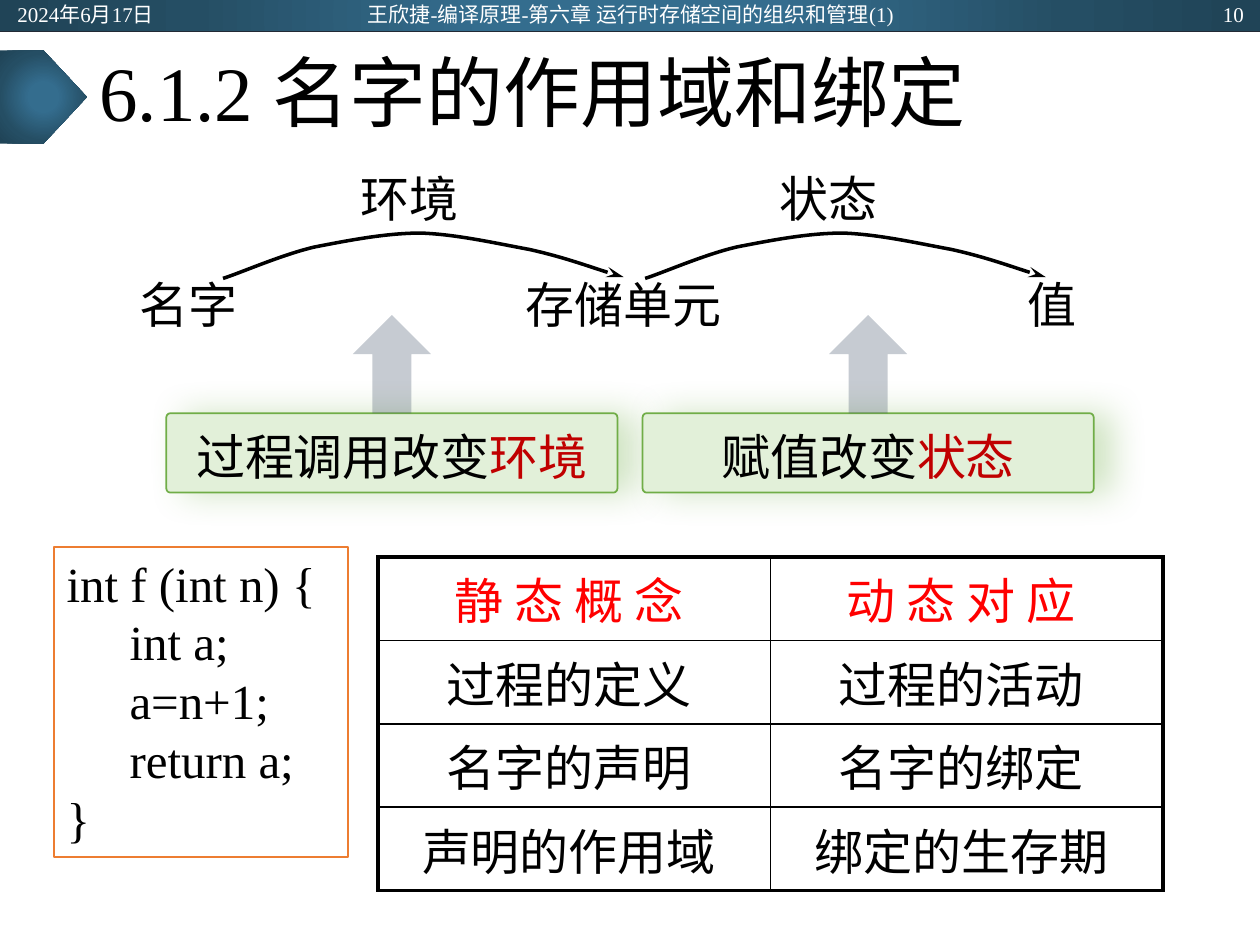
import pptx
import pptx.util
from lxml import etree
from pptx.dml.color import RGBColor
from pptx.enum.shapes import MSO_CONNECTOR, MSO_SHAPE
from pptx.enum.text import MSO_ANCHOR, MSO_AUTO_SIZE, PP_ALIGN
from pptx.oxml import parse_xml
from pptx.oxml.ns import qn

BLACK = RGBColor(0x00, 0x00, 0x00)
WHITE = RGBColor(0xFF, 0xFF, 0xFF)
RED = RGBColor(0xFF, 0x00, 0x00)
DARK_RED = RGBColor(0xC0, 0x00, 0x00)
GREEN = RGBColor(0x70, 0xAD, 0x47)
PALE_GREEN = RGBColor(0xE2, 0xF0, 0xD9)
ORANGE = RGBColor(0xED, 0x7D, 0x31)
SLATE = RGBColor(0x44, 0x54, 0x6A)
NAVY = RGBColor(0x22, 0x2A, 0x35)
BAR_STOPS = [
    (0, RGBColor(0x34, 0x6D, 0x8E)),
    (23, RGBColor(0x34, 0x6D, 0x8E)),
    (69, RGBColor(0x25, 0x4E, 0x64)),
    (97, RGBColor(0x20, 0x44, 0x57)),
]

SERIF = "Times New Roman"
SANS = "Noto Sans CJK SC"
NAMESPACE = 'xmlns:a="http://schemas.openxmlformats.org/drawingml/2006/main"'
COLUMNS, ROWS = 100, 75  # grid of square cells covering the slide
CELL = 0.1


def grid(*cells):
    """Turn counts of grid cells into slide lengths."""
    return [pptx.util.Inches(count * CELL) for count in cells]


def write_text(frame, paragraphs, size=28, font=SERIF, color=BLACK, align=None,
               spacing=None, anchor=MSO_ANCHOR.TOP, tab=None):
    """Fill a frame; a paragraph is a string or a list of (text, colour) spans."""
    frame.word_wrap = True
    frame.vertical_anchor = anchor
    for index, content in enumerate(paragraphs):
        para = frame.paragraphs[0] if index == 0 else frame.add_paragraph()
        if align is not None:
            para.alignment = align
        if spacing:
            para.line_spacing = spacing
        if tab:
            para._p.get_or_add_pPr().append(parse_xml(
                f'<a:tabLst {NAMESPACE}><a:tab pos="{tab}" algn="l"/></a:tabLst>'))
        spans = [(content, color)] if isinstance(content, str) else content
        for text, span_color in spans:
            span = para.add_run()
            span.text = text
            span.font.size = pptx.util.Pt(size)
            span.font.name = font
            span.font.color.rgb = span_color
            east_asian = etree.SubElement(span._r.get_or_add_rPr(), qn("a:ea"))
            east_asian.set("typeface", SANS)


def add_text(page, cells, text, **text_format):
    box = page.shapes.add_textbox(*grid(*cells))
    write_text(box.text_frame, [text], **text_format)


def add_box(page, kind, cells, fill=None, line=None):
    box = page.shapes.add_shape(kind, *grid(*cells))
    box.shadow.inherit = False
    if fill is not None:
        box.fill.solid()
        box.fill.fore_color.rgb = fill
    if line is None:
        box.line.fill.background()
    else:
        box.line.color.rgb = line
        box.line.width = pptx.util.Pt(1)
    return box


def add_glowing_bar(page, kind, cells):
    """Add a shape with the blue radial gradient of the header."""
    bar = add_box(page, kind, cells)
    stops = "".join(
        f'<a:gs pos="{share * 1000}"><a:srgbClr val="{color}"/></a:gs>'
        for share, color in BAR_STOPS)
    gradient = parse_xml(
        f'<a:gradFill {NAMESPACE} rotWithShape="1"><a:gsLst>{stops}</a:gsLst>'
        '<a:path path="circle"><a:fillToRect l="50000" t="50000" r="50000" '
        'b="50000"/></a:path></a:gradFill>')
    bar._element.spPr.find(qn("a:prstGeom")).addnext(gradient)


def add_header(page):
    add_glowing_bar(page, MSO_SHAPE.RECTANGLE, (0, 0, COLUMNS, 2.5))
    rule = page.shapes.add_connector(
        MSO_CONNECTOR.STRAIGHT, *grid(0, 2.5, COLUMNS, 2.5))
    rule.line.color.rgb = NAVY
    rule.line.width = pptx.util.Pt(0.5)
    etree.SubElement(rule._element.spPr, qn("a:effectLst"))
    add_glowing_bar(page, MSO_SHAPE.PENTAGON, (0, 4, 6.9, 7.4))
    add_text(page, (6.9, 2.5, 86.2, 10.4), "6.1.2 名字的作用域和绑定",
             size=44, spacing=0.9, anchor=MSO_ANCHOR.MIDDLE)
    for cells, text, align in [
        ((0.4, 0.1, 22.5, 2), "2024年6月17日", PP_ALIGN.LEFT),
        ((25.1, -0.3, 49.9, 2.8),
         "王欣捷-编译原理-第六章 运行时存储空间的组织和管理(1)", PP_ALIGN.CENTER),
        ((77.2, 0.1, 22.5, 2), "10", PP_ALIGN.RIGHT),
    ]:
        add_text(page, cells, text, size=12, color=WHITE, align=align,
                 anchor=MSO_ANCHOR.MIDDLE)


def add_mapping_arc(page, left):
    """Draw a curved arrow; across is measured from its left end."""
    start = (left, 22.1)
    controls = [(1.3, 21.7), (4.7, 20.2), (7.3, 19.6),
                (9.9, 19.1), (12.9, 18.5), (15.7, 18.5),
                (18.5, 18.6), (21.6, 19.3), (24.3, 19.8),
                (27, 20.4), (30.3, 21.6), (31.8, 22)]
    builder = page.shapes.build_freeform(*grid(*start))
    builder.add_line_segments(
        [grid(left + across, down) for across, down in controls], close=False)
    arc = builder.convert_to_shape()
    arc.shadow.inherit = False
    arc.fill.background()
    arc.line.color.rgb = BLACK
    arc.line.width = pptx.util.Pt(2)
    head = etree.SubElement(arc.line._get_or_add_ln(), qn("a:tailEnd"))
    head.set("type", "stealth")
    head.set("len", "lg")
    segments = list(arc._element.iter(qn("a:lnTo")))
    for first in range(0, len(segments), 3):
        curve = etree.Element(qn("a:cubicBezTo"))
        segments[first].addprevious(curve)
        for segment in segments[first:first + 3]:
            curve.append(segment[0])
            segment.getparent().remove(segment)


def add_cause(page, left, spans):
    """Add a green box with a faint arrow rising from its middle."""
    width, top, arrow_width, arrow_height = 35.8, 32.8, 6.2, 7.8
    box = add_box(page, MSO_SHAPE.ROUNDED_RECTANGLE, (left, top, width, 6.3),
                  PALE_GREEN, GREEN)
    box.adjustments[0] = 0.05
    box._element.spPr.find(qn("a:effectLst")).append(parse_xml(
        f'<a:outerShdw {NAMESPACE} blurRad="{pptx.util.Pt(20)}" '
        f'dist="{pptx.util.Pt(10)}" dir="0" algn="l" rotWithShape="0">'
        f'<a:srgbClr val="{GREEN}"><a:alpha val="32000"/></a:srgbClr></a:outerShdw>'))
    write_text(box.text_frame, [spans], align=PP_ALIGN.CENTER, spacing=1.1,
               anchor=MSO_ANCHOR.MIDDLE)
    arrow = add_box(page, MSO_SHAPE.UP_ARROW,
                    (left + (width - arrow_width) / 2, top - arrow_height,
                     arrow_width, arrow_height), SLATE)
    color = arrow._element.spPr.find(qn("a:solidFill"))[0]
    etree.SubElement(color, qn("a:alpha")).set("val", "30000")


def set_borders(cell, widths):
    properties = cell._tc.get_or_add_tcPr()
    for side, width in zip("LRTB", widths):
        properties.append(parse_xml(
            f'<a:ln{side} {NAMESPACE} w="{pptx.util.Pt(width)}"><a:solidFill>'
            f'<a:srgbClr val="{BLACK}"/></a:solidFill></a:ln{side}>'))


def add_concept_table(page, cells, rows):
    last_row, last_column = len(rows) - 1, len(rows[0]) - 1
    table = page.shapes.add_table(len(rows), len(rows[0]), *grid(*cells)).table
    table.first_row = table.horz_banding = False
    for row, texts in enumerate(rows):
        for column, text in enumerate(texts):
            cell = table.cell(row, column)
            outer = (column == 0, column == last_column, row == 0, row == last_row)
            set_borders(cell, [2.25 if edge else 1 for edge in outer])
            cell.fill.background()
            write_text(cell.text_frame, [text], font=SANS, align=PP_ALIGN.CENTER,
                       color=RED if row == 0 else BLACK)


def add_code(page, cells, lines):
    box = add_box(page, MSO_SHAPE.RECTANGLE, cells, WHITE, ORANGE)
    write_text(box.text_frame, lines, align=PP_ALIGN.LEFT,
               tab=pptx.util.Inches(0.5))
    box.text_frame.auto_size = MSO_AUTO_SIZE.SHAPE_TO_FIT_TEXT


def main():
    deck = pptx.Presentation()
    deck.slide_width, deck.slide_height = grid(COLUMNS, ROWS)
    page = deck.slides.add_slide(deck.slide_layouts[6])
    add_header(page)
    for left, top, width, text in [
        (10.1, 21.3, 16.2, "名字"), (40.7, 21.3, 20.5, "存储单元"),
        (60.9, 12.9, 12.5, "状态"), (80.6, 21.3, 12.5, "值"),
        (27.6, 12.9, 12.5, "环境"),
    ]:
        add_text(page, (left, top, width, 5.7), text, align=PP_ALIGN.JUSTIFY)
    for left in (17.7, 51.2):
        add_mapping_arc(page, left)
    add_cause(page, 13.2, [("过程调用改变", BLACK), ("环境", DARK_RED)])
    add_cause(page, 51, [("赋值改变", BLACK), ("状态", DARK_RED)])
    add_concept_table(page, (30, 44.2, 62.3, 26.5), [
        ("静 态 概 念 ", "动 态 对 应 "),
        ("过程的定义 ", "过程的活动 "),
        ("名字的声明 ", "名字的绑定 "),
        ("声明的作用域 ", "绑定的生存期 "),
    ])
    add_code(page, (4.3, 43.4, 23.3, 24.6),
             ["int f (int n) {", "\tint a;", "\ta=n+1;", "\treturn a;", "}"])
    deck.save("out.pptx")


if __name__ == "__main__":
    main()
